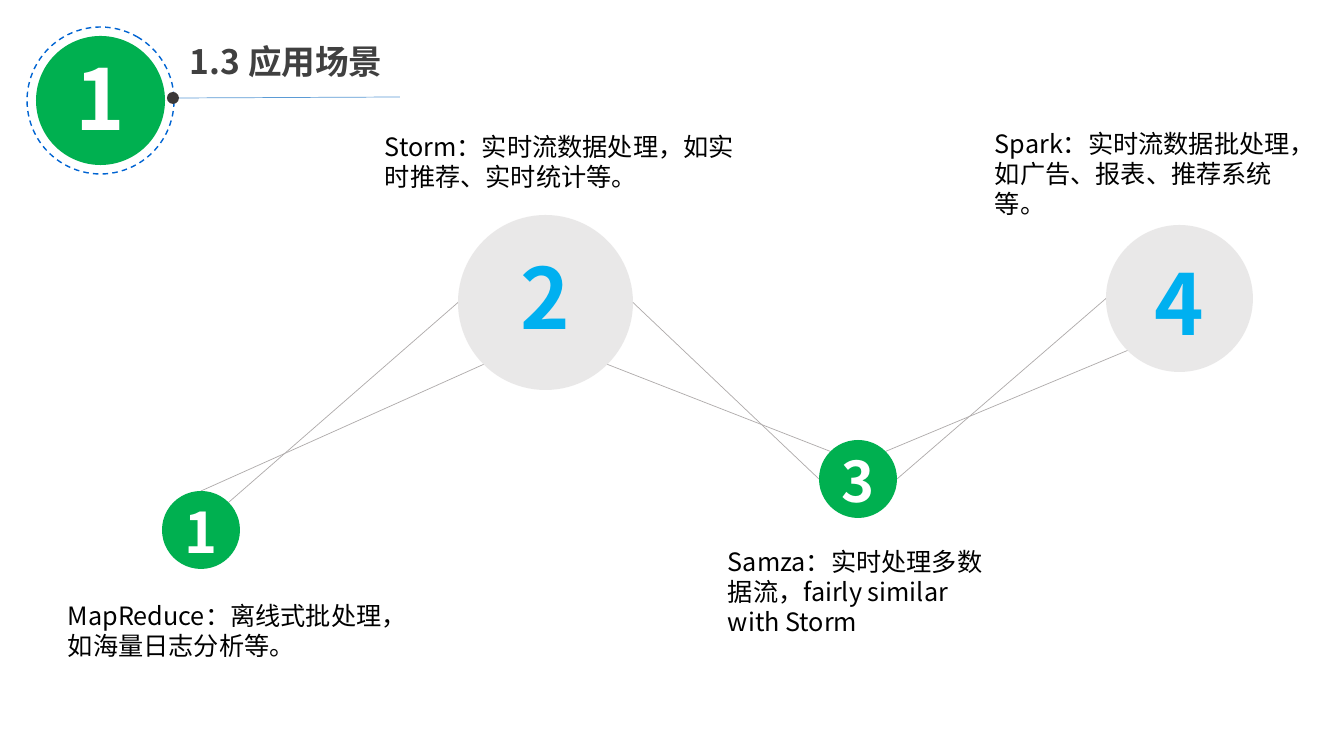
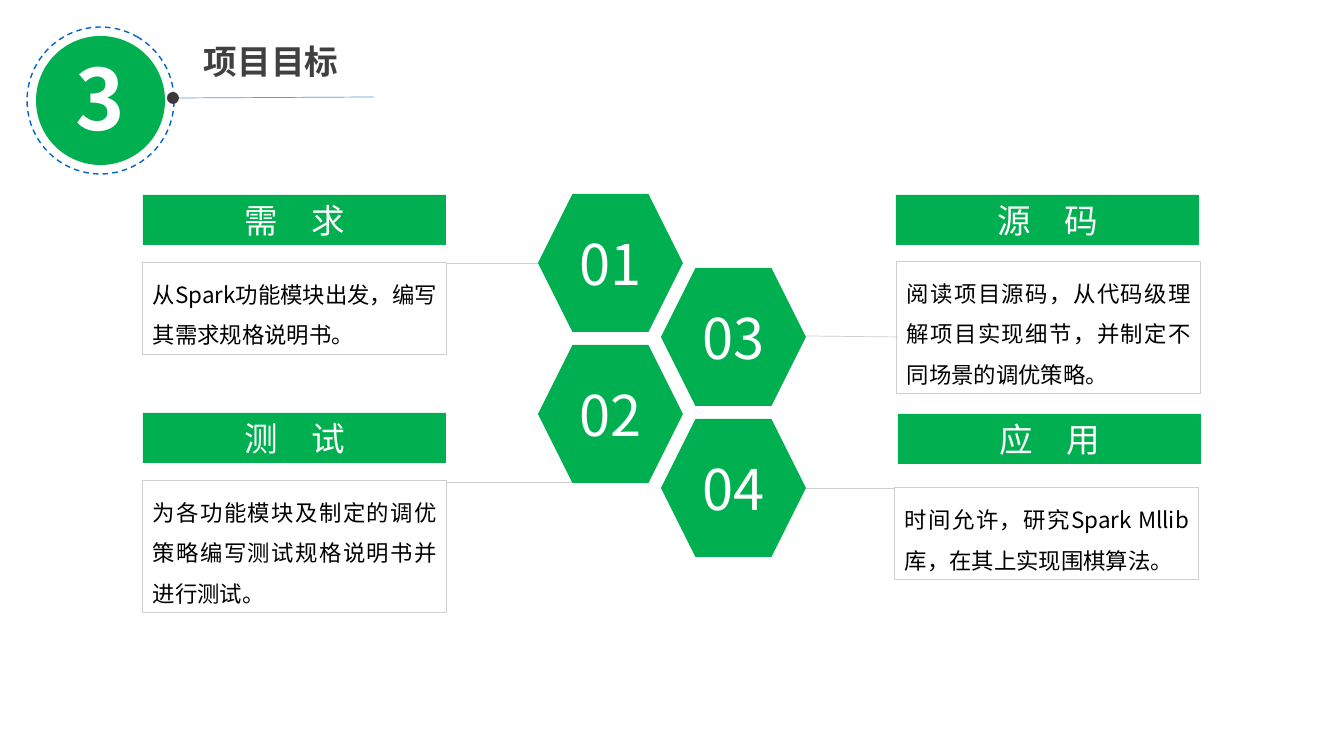
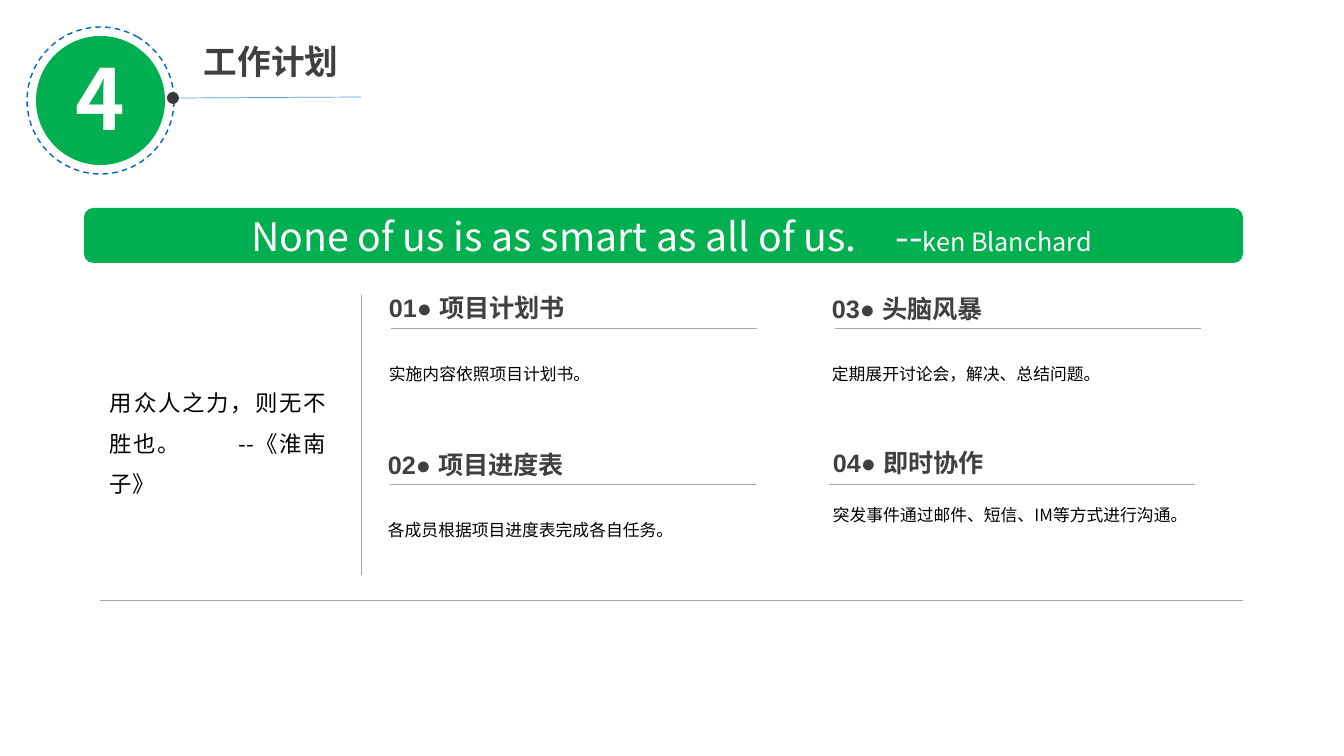
"""Build three slides: application scenarios, project goals and work plan."""
from math import cos, radians, sin

from lxml.etree import SubElement
from pptx import Presentation
from pptx.dml.color import RGBColor
from pptx.enum.dml import MSO_LINE
from pptx.enum.shapes import MSO_CONNECTOR, MSO_SHAPE
from pptx.enum.text import MSO_ANCHOR, PP_ALIGN
from pptx.oxml.ns import qn
from pptx.util import Pt

SCALE = 914400 / 100.8
FONT = "Noto Sans CJK SC"
GREEN = RGBColor(0x00, 0xB0, 0x50)
SKY = RGBColor(0x00, 0xB0, 0xF0)
RING_BLUE = RGBColor(0x00, 0x64, 0xD2)
RULE_BLUE = RGBColor(0x5B, 0x9B, 0xD5)
WHITE = RGBColor(0xFF, 0xFF, 0xFF)
BLACK = RGBColor(0x00, 0x00, 0x00)
INK = RGBColor(0x40, 0x40, 0x40)
DOT = RGBColor(0x3B, 0x38, 0x38)
LIGHT_GRAY = RGBColor(0xD0, 0xCE, 0xCE)
LINK_GRAY = RGBColor(0xAF, 0xAB, 0xAB)
RULE_GRAY = RGBColor(0xA6, 0xA6, 0xA6)

SCENARIO_CIRCLES = {
    "1": (162, 491, 78),
    "2": (458, 215, 175),
    "3": (819, 440, 78),
    "4": (1106, 225, 147),
}
SCENARIO_LINKS = [
    ("1", -45, "2", 180), ("1", -90, "2", 135),
    ("2", 0, "3", 180), ("2", 45, "3", -135),
    ("3", -45, "4", 135), ("3", 0, "4", 180),
]
SCENARIO_NOTES = [
    ("MapReduce：离线式批处理，如海量日志分析等。", 58, 595, 363, 72),
    ("Samza：实时处理多数据流，fairly similar with Storm", 718, 541, 288, 102),
    ("Spark：实时流数据批处理，如广告、报表、推荐系统等。", 985, 123, 318, 102),
    ("Storm：实时流数据处理，如实时推荐、实时统计等。", 375, 126, 380, 72),
]

HEXAGONS = [("01", 0, 0), ("02", 0, 1), ("03", 1, 0), ("04", 1, 1)]
GOALS = [
    ("需　求", 143, 195, "从Spark功能模块出发，编写其需求规格说明书。", 143, 263, 92),
    ("测　试", 143, 413, "为各功能模块及制定的调优策略编写测试规格说明书并进行测试。",
     143, 481, 132),
    ("源　码", 896, 195, "阅读项目源码，从代码级理解项目实现细节，并制定不同场景的调优策略。",
     897, 262, 132),
    ("应　用", 898, 414, "时间允许，研究Spark Mllib库，在其上实现围棋算法。", 895, 488, 92),
]
GOAL_LINKS = [
    (538, 263, 446, 263), (572, 482, 446, 482),
    (898, 337, 806, 336), (895, 488, 806, 488),
]

PLAN_ITEMS = [
    ("01● 项目计划书", "实施内容依照项目计划书。", 379, 287, 391, 328, 349),
    ("02● 项目进度表", "各成员根据项目进度表完成各自任务。", 378, 444, 390, 484, 505),
    ("03● 头脑风暴", "定期展开讨论会，解决、总结问题。", 822, 288, 835, 328, 349),
    ("04● 即时协作", "突发事件通过邮件、短信、IM等方式进行沟通。", 823, 442, 829, 484, 490),
]


def px(value):
    return round(value * SCALE)


def write(shape, runs, color=BLACK, bold=False, align=PP_ALIGN.LEFT,
          anchor=MSO_ANCHOR.TOP, spacing=None, font=FONT):
    """Write one paragraph of (text, size) runs into a shape."""
    frame = shape.text_frame
    frame.word_wrap = True
    frame.vertical_anchor = anchor
    paragraph = frame.paragraphs[0]
    paragraph.alignment = align
    if spacing:
        paragraph.line_spacing = spacing
    for text, size in runs:
        run = paragraph.add_run()
        run.text = text
        run.font.size = Pt(size)
        run.font.bold = bold
        run.font.color.rgb = color
        run.font.name = font
        SubElement(run._r.get_or_add_rPr(), qn("a:ea"), typeface=FONT)
    return paragraph


def add_text(slide, left, top, width, height, runs, **style):
    box = slide.shapes.add_textbox(px(left), px(top), px(width), px(height))
    return write(box, runs, **style)


def add_shape(slide, kind, left, top, width, height, fill=None, line=None, weight=0.75):
    shape = slide.shapes.add_shape(kind, px(left), px(top), px(width), px(height))
    shape.shadow.inherit = False
    if fill is None:
        shape.fill.background()
    else:
        shape.fill.solid()
        shape.fill.fore_color.rgb = fill
    if line is None:
        shape.line.fill.background()
    else:
        shape.line.color.rgb = line
        shape.line.width = Pt(weight)
    return shape


def add_line(slide, x1, y1, x2, y2, color, weight):
    line = slide.shapes.add_connector(
        MSO_CONNECTOR.STRAIGHT, px(x1), px(y1), px(x2), px(y2))
    line.line.color.rgb = color
    line.line.width = Pt(weight)
    SubElement(line._element.spPr, qn("a:effectLst"))


def add_titled_slide(presentation, number, title, title_left, rule_end):
    """Add a blank slide with the numbered badge, title and underline."""
    slide = presentation.slides.add_slide(presentation.slide_layouts[6])
    ring = add_shape(slide, MSO_SHAPE.OVAL, 27, 27, 147, 147, line=RING_BLUE, weight=1)
    ring.line.dash_style = MSO_LINE.DASH
    ring.rotation = 120
    add_line(slide, 179, 98, rule_end, 97, RULE_BLUE, 0.5)
    add_shape(slide, MSO_SHAPE.OVAL, 167, 92, 12, 12, fill=DOT)
    badge = add_shape(slide, MSO_SHAPE.OVAL, 36, 36, 129, 129, fill=GREEN)
    frame = badge.text_frame
    frame.margin_left = frame.margin_right = frame.margin_top = 0
    frame.margin_bottom = px(8)
    write(badge, [(number, 60)], color=WHITE, bold=True,
          align=PP_ALIGN.CENTER, anchor=MSO_ANCHOR.MIDDLE)
    add_text(slide, title_left, 36, 500, 50, [(title, 24)], color=INK, bold=True)
    return slide


def circle_point(circle, angle):
    left, top, size = circle
    radius = size / 2
    return (left + radius + radius * cos(radians(angle)),
            top + radius + radius * sin(radians(angle)))


def build_scenarios(presentation):
    slide = add_titled_slide(presentation, "1", "1.3 应用场景", 180, 400)
    for start, start_angle, end, end_angle in SCENARIO_LINKS:
        add_line(slide, *circle_point(SCENARIO_CIRCLES[start], start_angle),
                 *circle_point(SCENARIO_CIRCLES[end], end_angle), LINK_GRAY, 0.5)
    for number, (left, top, size) in SCENARIO_CIRCLES.items():
        small = size < 100
        circle = add_shape(slide, MSO_SHAPE.OVAL, left, top, size, size,
                           fill=GREEN if small else LIGHT_GRAY)
        if not small:
            color = circle.fill._xPr.find(qn("a:solidFill"))[0]
            SubElement(color, qn("a:alpha"), val="46000")
        write(circle, [(number, 40 if small else 60)], color=WHITE if small else SKY,
              bold=True, align=PP_ALIGN.CENTER, spacing=Pt(41) if small else None)
    for text, left, top, width, height in SCENARIO_NOTES:
        add_text(slide, left, top, width, height, [(text, 18)])


def build_goals(presentation):
    slide = add_titled_slide(presentation, "3", "项目目标", 194, 374)
    for link in GOAL_LINKS:
        add_line(slide, *link, LIGHT_GRAY, 0.5)
    for number, column, row in HEXAGONS:
        hexagon = add_shape(slide, MSO_SHAPE.HEXAGON, 538 + 123 * column,
                            194 + 74 * column + 151 * row, 145, 138, fill=GREEN)
        write(hexagon, [(number, 40)], color=WHITE,
              align=PP_ALIGN.CENTER, anchor=MSO_ANCHOR.MIDDLE)
    for heading, left, top, text, box_left, box_top, box_height in GOALS:
        band = add_shape(slide, MSO_SHAPE.RECTANGLE, left, top, 303, 50, fill=GREEN)
        write(band, [(heading, 24)], color=WHITE,
              align=PP_ALIGN.CENTER, anchor=MSO_ANCHOR.MIDDLE)
        box = add_shape(slide, MSO_SHAPE.RECTANGLE, box_left, box_top, 304, box_height,
                        line=LIGHT_GRAY)
        write(box, [(text, 16)], align=PP_ALIGN.JUSTIFY, spacing=1.5)


def build_plan(presentation):
    slide = add_titled_slide(presentation, "4", "工作计划", 194, 361)
    banner = add_shape(slide, MSO_SHAPE.ROUNDED_RECTANGLE, 84, 208, 1159, 55, fill=GREEN)
    banner.text_frame.margin_left = px(26)
    write(banner, [("None of us is as smart as all of us.　--", 28), ("ken Blanchard", 18)],
          color=WHITE, align=PP_ALIGN.CENTER, anchor=MSO_ANCHOR.MIDDLE)
    quote = add_text(slide, 100, 371, 236, 132, [("用众人之力，则无不胜也。\t--《淮南子》", 16)],
                     align=PP_ALIGN.JUSTIFY, spacing=1.5)
    tabs = SubElement(quote._p.get_or_add_pPr(), qn("a:tabLst"))
    SubElement(tabs, qn("a:tab"), pos=str(px(122)), algn="l")
    add_line(slide, 361, 295, 361, 575, RULE_GRAY, 0.25)
    add_line(slide, 100, 600, 1243, 600, RULE_GRAY, 0.25)
    for heading, note, left, top, rule_left, rule_top, note_top in PLAN_ITEMS:
        add_text(slide, left, top, 378, 40, [(heading, 18)],
                 color=INK, bold=True, font="Arial")
        add_line(slide, rule_left, rule_top, rule_left + 366, rule_top, RULE_GRAY, 0.25)
        add_text(slide, left, note_top, 385, 40, [(note, 12)], spacing=1.5)


def main():
    presentation = Presentation()
    presentation.slide_width = px(1344)
    presentation.slide_height = px(756)
    build_scenarios(presentation)
    build_goals(presentation)
    build_plan(presentation)
    presentation.save("out.pptx")


if __name__ == "__main__":
    main()
